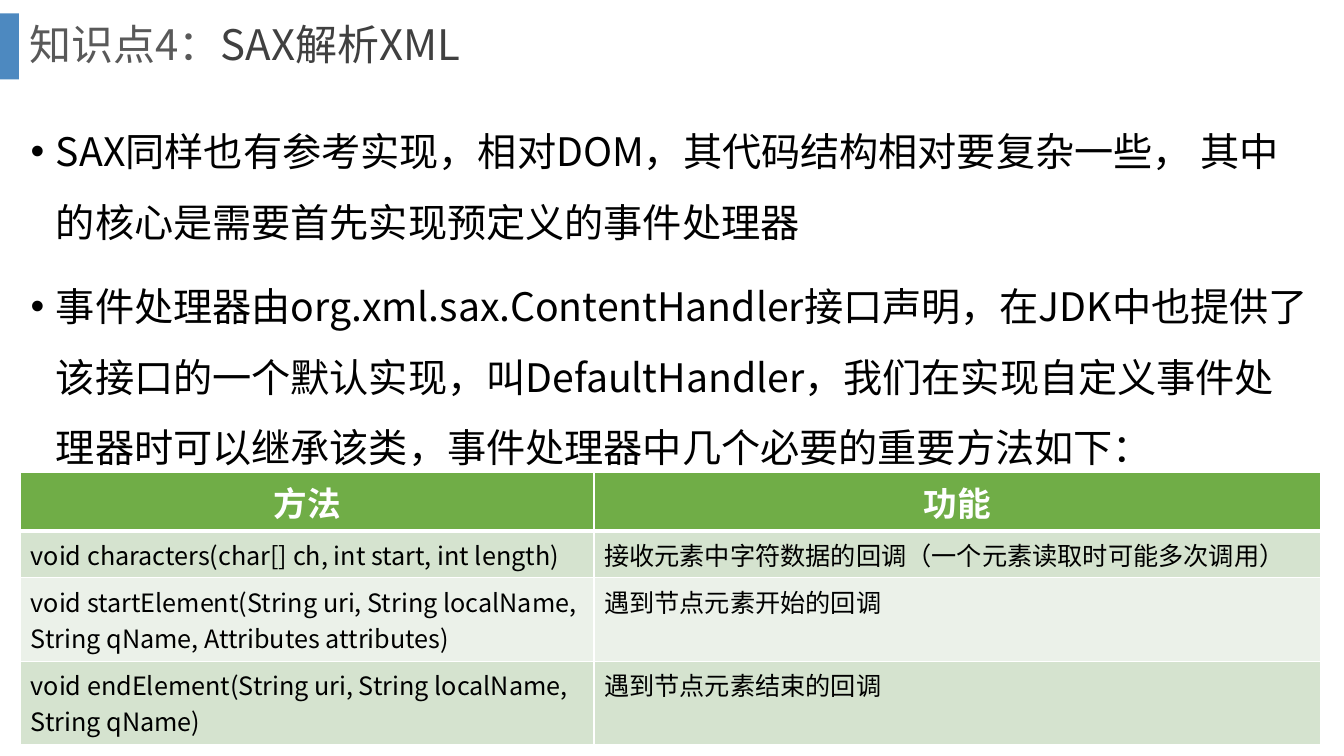
from dataclasses import dataclass

import lxml.etree
import pptx
import pptx.dml.color
import pptx.enum.shapes
import pptx.enum.text
import pptx.oxml.ns
import pptx.util

Cm = pptx.util.Cm
Pt = pptx.util.Pt
Align = pptx.enum.text.PP_ALIGN
Anchor = pptx.enum.text.MSO_ANCHOR
qn = pptx.oxml.ns.qn


@dataclass(frozen=True)
class Theme:
    """Colours, font and type sizes of the slide."""
    font: str = "Noto Sans CJK SC"
    accent: str = "2E75B6"
    label: str = "595959"
    title: str = "404040"
    ink: str = "000000"
    white: str = "FFFFFF"
    head: str = "70AD47"
    bands: tuple = ("D5E3CF", "EBF1E9")
    title_size: int = 30
    body_size: int = 28
    head_size: int = 24
    cell_size: int = 18


THEME = Theme()

POINTS = (
    "SAX同样也有参考实现，相对DOM，其代码结构相对要复杂一些， 其中的核心是需要首先实现预定义的事件处理器",
    "事件处理器由org.xml.sax.ContentHandler接口声明，在JDK中也提供了该接口的一个默认实现，"
    "叫DefaultHandler，我们在实现自定义事件处理器时可以继承该类，事件处理器中几个必要的重要方法如下：",
)
METHODS = (
    ("方法", "功能"),
    ("void characters(char[] ch, int start, int length)",
     "接收元素中字符数据的回调（一个元素读取时可能多次调用）"),
    ("void startElement(String uri, String localName, String qName, Attributes attributes)",
     "遇到节点元素开始的回调"),
    ("void endElement(String uri, String localName, String qName)",
     "遇到节点元素结束的回调"),
)
HEIGHTS = (1.47, 1.18, 2.1, 2.1)


def rgb(code):
    """Turn a hex code into a colour."""
    return pptx.dml.color.RGBColor.from_string(code)


def child(parent, tag, **attrs):
    """Append an XML element and return it."""
    return lxml.etree.SubElement(parent, qn(tag), attrs)


def write(para, text, size, color, bold=False, align=Align.LEFT,
          lines=None, before=None, bullet=False):
    """Add a formatted run to a paragraph."""
    para.alignment = align
    if lines:
        para.line_spacing = lines
    if before is not None:
        para.space_before = Pt(before)
    if bullet:
        props = para._p.get_or_add_pPr()
        props.set("marL", str(Cm(0.64)))
        props.set("indent", str(-Cm(0.64)))
        child(props, "a:buFont", typeface="Arial")
        child(props, "a:buChar", char="•")
    run = para.add_run()
    run.text = text
    font = run.font
    font.size, font.bold, font.name = Pt(size), bold, THEME.font
    font.color.rgb = rgb(color)
    child(run._r.get_or_add_rPr(), "a:ea", typeface=THEME.font)


def header(slide, left, top, width, height):
    """Draw the accent bar and the title to its right."""
    bar_width = Cm(0.48)
    bar = slide.shapes.add_shape(pptx.enum.shapes.MSO_SHAPE.RECTANGLE,
                                 left, top + Cm(0.34), bar_width, Cm(1.66))
    bar.shadow.inherit = False
    bar.fill.solid()
    bar.fill.fore_color.rgb = rgb(THEME.accent)
    tint = bar.fill._xPr.find(qn("a:solidFill"))[0]
    child(tint, "a:alpha", val="85000")
    bar.line.fill.background()

    title = slide.shapes.title
    title.left, title.top = left + bar_width, top
    title.width, title.height = width - bar_width, height
    frame = title.text_frame
    frame.auto_size = pptx.enum.text.MSO_AUTO_SIZE.NONE
    frame.vertical_anchor = Anchor.MIDDLE
    para = frame.paragraphs[0]
    write(para, "知识点4：", THEME.title_size, THEME.label, lines=0.9)
    write(para, "SAX解析XML", THEME.title_size, THEME.title)


def body(slide, left, top, width, height):
    """Place the bulleted explanation."""
    frame = slide.shapes.add_textbox(left, top, width, height).text_frame
    frame.word_wrap = True
    for i, text in enumerate(POINTS):
        para = frame.add_paragraph() if i else frame.paragraphs[0]
        write(para, text, THEME.body_size, THEME.ink,
              lines=1.5, before=10, bullet=True)


def border(cell, base):
    """Give a cell white edges with the given bottom width."""
    props = cell._tc.get_or_add_tcPr()
    for side, width in (("L", 1), ("R", 1), ("T", 1), ("B", base)):
        edge = child(props, "a:ln" + side, w=str(Pt(width)))
        child(child(edge, "a:solidFill"), "a:srgbClr", val=THEME.white)


def methods(slide, left, top, width, height):
    """Place the table of handler methods."""
    table = slide.shapes.add_table(len(METHODS), 2, left, top,
                                   width, height).table
    first = Cm(14.45)
    table.columns[0].width, table.columns[1].width = first, width - first
    for r, row in enumerate(METHODS):
        table.rows[r].height = Cm(HEIGHTS[r])
        for c, text in enumerate(row):
            cell = table.cell(r, c)
            para = cell.text_frame.paragraphs[0]
            if r == 0:
                write(para, text, THEME.head_size, THEME.white,
                      bold=True, align=Align.CENTER)
                cell.vertical_anchor = Anchor.MIDDLE
                fill = THEME.head
            else:
                write(para, text, THEME.cell_size, THEME.ink)
                fill = THEME.bands[(r - 1) % 2]
            border(cell, 1 if r else 3)
            cell.fill.solid()
            cell.fill.fore_color.rgb = rgb(fill)


def main():
    """Build and save the slide."""
    deck = pptx.Presentation()
    deck.slide_width, deck.slide_height = Cm(33.87), Cm(19.05)
    slide = deck.slides.add_slide(deck.slide_layouts[5])
    margin = Cm(0.52)
    width = Cm(32.77)
    header(slide, 0, 0, Cm(32.64), Cm(2.36))
    body(slide, margin, Cm(2.49), width, Cm(15.14))
    methods(slide, margin, Cm(11.91), width, Cm(sum(HEIGHTS)))
    deck.save("out.pptx")


if __name__ == "__main__":
    main()
